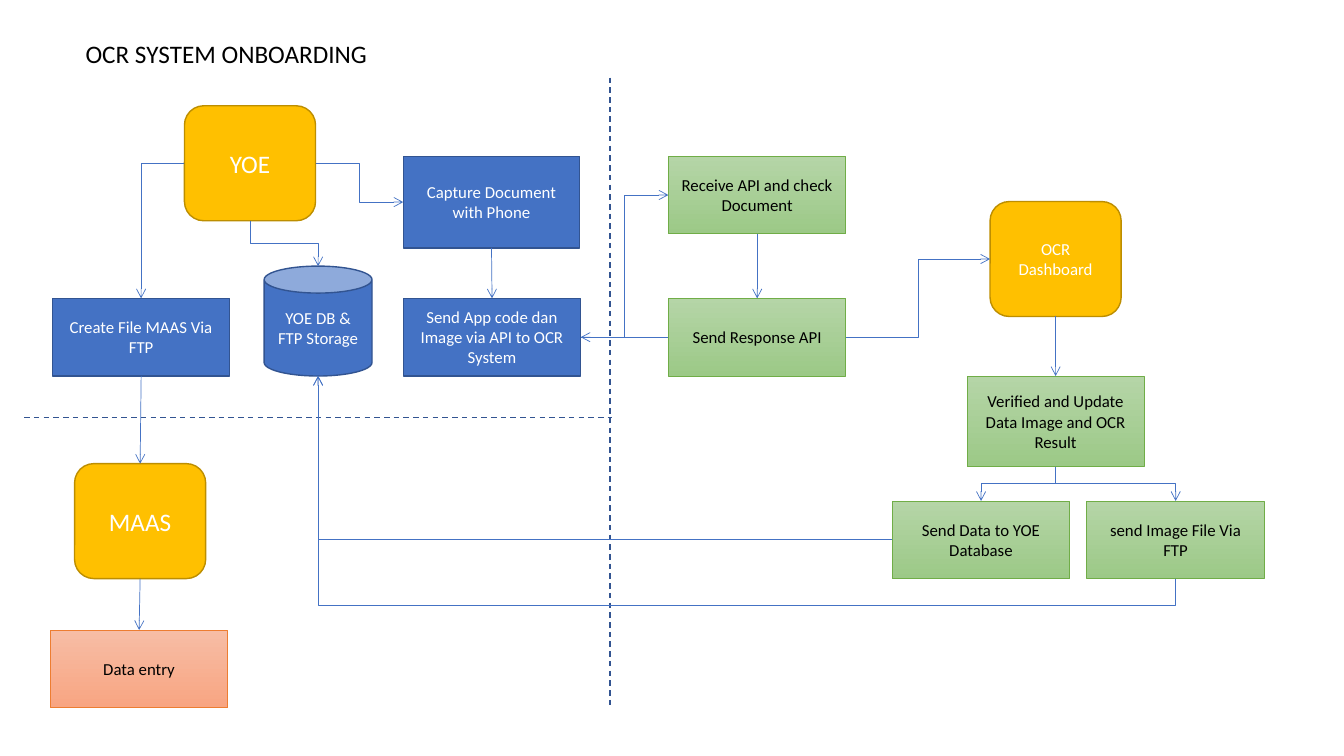
from lxml import etree
from pptx import Presentation
from pptx.dml.color import RGBColor
from pptx.enum.dml import MSO_LINE
from pptx.enum.shapes import MSO_CONNECTOR, MSO_SHAPE
from pptx.enum.text import MSO_ANCHOR, PP_ALIGN
from pptx.oxml.ns import qn
from pptx.util import Inches, Pt

RECTANGLE, ROUNDED, CAN = MSO_SHAPE.RECTANGLE, MSO_SHAPE.ROUNDED_RECTANGLE, MSO_SHAPE.CAN
STRAIGHT = MSO_CONNECTOR.STRAIGHT
DASH = MSO_LINE.DASH
CENTER, MIDDLE = PP_ALIGN.CENTER, MSO_ANCHOR.MIDDLE

FONT = "Calibri"
COLORS = {
    "white": "FFFFFF", "black": "000000",
    "gold": "FFC000", "gold_edge": "BD8E00",
    "blue": "4472C4", "blue_edge": "325491",
    "green_top": "B5D5A7", "green_bottom": "9CC987", "green_edge": "70AD47",
    "orange_top": "F7BDA5", "orange_bottom": "F8A582", "orange_edge": "ED7D31",
}
# kind: preset, fill colours, edge, edge width, text colour
KINDS = {
    "system": (ROUNDED, ["gold"], "gold_edge", 1, "white"),
    "step": (RECTANGLE, ["blue"], "blue_edge", 1, "white"),
    "storage": (CAN, ["blue"], "blue_edge", 1, "white"),
    "ocr": (RECTANGLE, ["green_top", "green_bottom"], "green_edge", 0.5, "black"),
    "entry": (RECTANGLE, ["orange_top", "orange_bottom"], "orange_edge", 0.5, "black"),
}
SYSTEM_SIZE = (1.3, 1.14)
STEP_SIZE = (1.76, 0.77)

# Each side: connection site, site on a can, position across and down
SIDES = {
    "top": (0, 1, 0.5, 0), "left": (1, 2, 0, 0.5),
    "bottom": (2, 3, 0.5, 1), "right": (3, 4, 1, 0.5),
}


def color(name):
    return RGBColor.from_string(COLORS[name])


def style_text(paragraph, size, color_name):
    paragraph.font.name = FONT
    paragraph.font.size = Pt(size)
    paragraph.font.color.rgb = color(color_name)


def add_node(slide, kind, text, left, top, size, font_size=12):
    preset, fills, edge, edge_width, text_color = KINDS[kind]
    shape = slide.shapes.add_shape(preset, *map(Inches, (left, top, *size)))
    shape.shadow.inherit = False
    if len(fills) == 1:
        shape.fill.solid()
        shape.fill.fore_color.rgb = color(fills[0])
    else:
        shape.fill.gradient()
        shape.fill.gradient_angle = 270
        for stop, name in zip(shape.fill.gradient_stops, fills):
            stop.color.rgb = color(name)
    shape.line.color.rgb = color(edge)
    shape.line.width = Pt(edge_width)
    frame = shape.text_frame
    frame.word_wrap = True
    frame.vertical_anchor = MIDDLE
    frame.text = text
    frame.paragraphs[0].alignment = CENTER
    style_text(frame.paragraphs[0], font_size, text_color)
    return shape


def style_line(connector, color_name, width):
    connector.line.color.rgb = color(color_name)
    connector.line.width = Pt(width)
    etree.SubElement(connector._element.spPr, qn("a:effectLst"))


def site(shape, side):
    """Return the connection index and the point in the middle of a side."""
    index, can_index, across, down = SIDES[side]
    if shape.auto_shape_type == CAN:
        index = can_index
    return index, int(shape.left + across * shape.width), int(shape.top + down * shape.height)


def add_arrow(slide, start, start_side, end, end_side, route="line", bend=0.5):
    """Join two sides; a bent route that leaves vertically is turned by 90 degrees."""
    start_index, x1, y1 = site(start, start_side)
    end_index, x2, y2 = site(end, end_side)
    connector = slide.shapes.add_connector(STRAIGHT, x1, y1, x2, y2)
    properties = connector._element.spPr
    for tag, shape, index in (("a:stCxn", start, start_index), ("a:endCxn", end, end_index)):
        etree.SubElement(connector._element.nvCxnSpPr.cNvCxnSpPr, qn(tag),
                         id=str(shape.shape_id), idx=str(index))

    geometry = properties.find(qn("a:prstGeom"))
    geometry.set("prst", route)
    if route == "bentConnector3":
        etree.SubElement(geometry.find(qn("a:avLst")), qn("a:gd"),
                         name="adj1", fmla=f"val {round(bend * 100000)}")
        if start_side in ("top", "bottom"):
            width, height = abs(y2 - y1), abs(x2 - x1)
            connector.left, connector.top = (x1 + x2 - width) // 2, (y1 + y2 - height) // 2
            connector.width, connector.height = width, height
            transform = properties.find(qn("a:xfrm"))
            transform.set("rot", "5400000")
            transform.set("flipH", str(int(y2 < y1)))
            transform.set("flipV", str(int(x2 > x1)))

    style_line(connector, "blue", 0.5)
    etree.SubElement(properties.find(qn("a:ln")), qn("a:tailEnd"), type="arrow")


def add_divider(slide, x1, y1, x2, y2):
    divider = slide.shapes.add_connector(STRAIGHT, *map(Inches, (x1, y1, x2, y2)))
    divider.line.dash_style = DASH
    style_line(divider, "blue_edge", 1)


def add_title(slide, left, top, width, height):
    box = slide.shapes.add_textbox(*map(Inches, (left, top, width, height)))
    box.text_frame.word_wrap = False
    box.text_frame.text = "OCR SYSTEM ONBOARDING"
    style_text(box.text_frame.paragraphs[0], 18, "black")


def add_yoe_region(slide, left, top):
    yoe = add_node(slide, "system", "YOE", left + 1.58, top + 0.3, SYSTEM_SIZE, 18)
    capture = add_node(slide, "step", "Capture Document with Phone",
                       left + 3.75, top + 0.8, (1.75, 0.91))
    send = add_node(slide, "step", "Send App code dan Image via API to OCR System",
                    left + 3.75, top + 2.21, STEP_SIZE)
    create = add_node(slide, "step", "Create File MAAS Via FTP",
                      left + 0.27, top + 2.21, STEP_SIZE)
    storage = add_node(slide, "storage", "YOE DB & FTP Storage",
                       left + 2.37, top + 1.89, (1.07, 1.09))
    add_arrow(slide, yoe, "right", capture, "left", "bentConnector3")
    add_arrow(slide, yoe, "left", create, "top", "bentConnector2")
    add_arrow(slide, yoe, "bottom", storage, "top", "bentConnector3")
    add_arrow(slide, capture, "bottom", send, "top")
    return send, create, storage


def add_maas_region(slide, left, top):
    maas = add_node(slide, "system", "MAAS", left + 0.49, top + 0.45, SYSTEM_SIZE, 18)
    entry = add_node(slide, "entry", "Data entry", left + 0.25, top + 2.1, STEP_SIZE)
    add_arrow(slide, maas, "bottom", entry, "top")
    return maas


def add_ocr_region(slide, left, top):
    receive = add_node(slide, "ocr", "Receive API and check Document",
                       left + 0.58, top + 0.8, STEP_SIZE)
    response = add_node(slide, "ocr", "Send Response API", left + 0.58, top + 2.21, STEP_SIZE)
    dashboard = add_node(slide, "system", "OCR Dashboard", left + 3.77, top + 1.25, SYSTEM_SIZE)
    verified = add_node(slide, "ocr", "Verified and Update Data Image and OCR Result",
                        left + 3.54, top + 2.98, (1.76, 0.9))
    data = add_node(slide, "ocr", "Send Data to YOE Database", left + 2.8, top + 4.22, STEP_SIZE)
    image = add_node(slide, "ocr", "send Image File Via FTP", left + 4.73, top + 4.22, STEP_SIZE)
    add_arrow(slide, receive, "bottom", response, "top")
    add_arrow(slide, response, "right", dashboard, "left", "bentConnector3")
    add_arrow(slide, dashboard, "bottom", verified, "top")
    for target in (data, image):
        add_arrow(slide, verified, "bottom", target, "top", "bentConnector3")
    return receive, response, data, image


def main():
    presentation = Presentation()
    presentation.slide_width, presentation.slide_height = Inches(13.33), Inches(7.5)
    slide = presentation.slides.add_slide(presentation.slide_layouts[6])

    add_title(slide, 0.75, 0.33, 3.63, 0.4)
    send, create, storage = add_yoe_region(slide, 0.25, 0.75)
    maas = add_maas_region(slide, 0.25, 4.15)
    receive, response, data, image = add_ocr_region(slide, 6.05, 0.75)
    add_divider(slide, 6.05, 0.77, 6.05, 7.02)
    add_divider(slide, 0.24, 4.14, 6.07, 4.14)

    add_arrow(slide, create, "bottom", maas, "top")
    add_arrow(slide, send, "right", receive, "left", "bentConnector3")
    add_arrow(slide, response, "left", send, "right")
    add_arrow(slide, data, "left", storage, "bottom", "bentConnector2")
    add_arrow(slide, image, "bottom", storage, "bottom", "bentConnector3", bend=-0.13)
    presentation.save("out.pptx")


if __name__ == "__main__":
    main()
